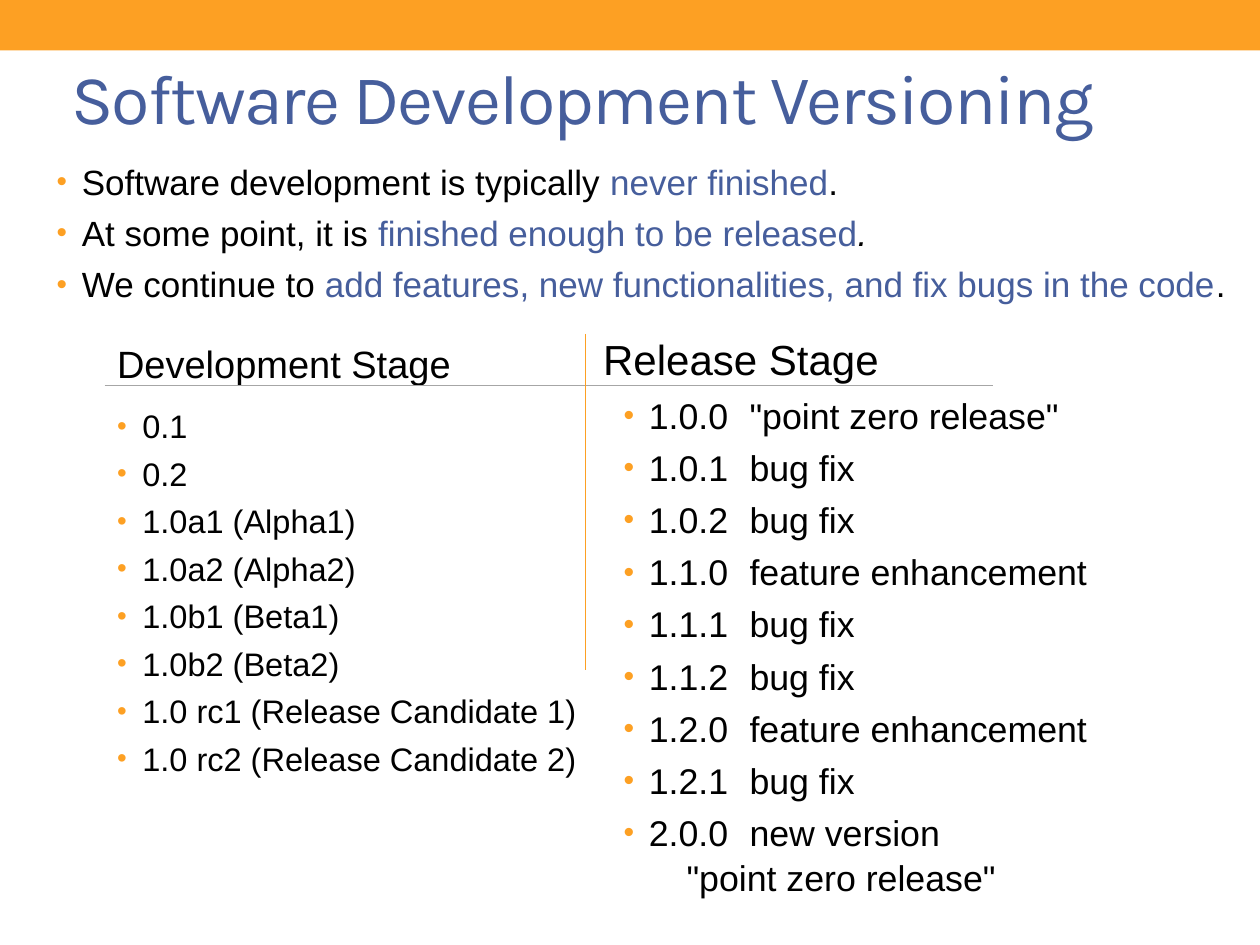
"""Build a slide on version numbers in software development."""
from lxml import etree
from pptx import Presentation
from pptx.dml.color import RGBColor
from pptx.enum.shapes import MSO_CONNECTOR, MSO_SHAPE
from pptx.enum.text import MSO_ANCHOR
from pptx.oxml.ns import qn
from pptx.util import Cm, Pt

STRAIGHT = MSO_CONNECTOR.STRAIGHT
RECTANGLE = MSO_SHAPE.RECTANGLE
TOP, MIDDLE = MSO_ANCHOR.TOP, MSO_ANCHOR.MIDDLE
ORANGE = RGBColor(0xFD, 0xA0, 0x23)
BLUE = RGBColor(0x46, 0x5E, 0x9C)
BLACK = RGBColor(0, 0, 0)
GREY = RGBColor(0xA6, 0xA6, 0xA6)
HANGING = Cm(0.51)

TITLE = "Software Development Versioning"
POINTS = [
    ("Software development is typically ", "never finished", ".", False),
    ("At some point, it is ", "finished enough to be released", ".", True),
    ("We continue to ",
     "add features, new functionalities, and fix bugs in the code", ".", False),
]
DEVELOPMENT = [
    "0.1", "0.2", "1.0a1 (Alpha1)", "1.0a2 (Alpha2)", "1.0b1 (Beta1)",
    "1.0b2 (Beta2)", "1.0 rc1 (Release Candidate 1)",
    "1.0 rc2 (Release Candidate 2)",
]
RELEASES = [
    ("1.0.0", ['"point zero release"']),
    ("1.0.1", ["bug fix"]),
    ("1.0.2", ["bug fix"]),
    ("1.1.0", ["feature enhancement"]),
    ("1.1.1", ["bug fix"]),
    ("1.1.2", ["bug fix"]),
    ("1.2.0", ["feature enhancement"]),
    ("1.2.1", ["bug fix"]),
    ("2.0.0", ["new version", '"point zero release"']),
]
RULES = [
    ((2.11, 7.77), (20.02, 7.77), GREY, 0.25),
    ((11.81, 6.73), (11.81, 13.51), ORANGE, 0.75),
]


def add_bullet(para):
    properties = para._p.get_or_add_pPr()
    properties.set("marL", str(HANGING))
    properties.set("indent", str(-HANGING))
    color = etree.SubElement(properties, qn("a:buClr"))
    etree.SubElement(color, qn("a:srgbClr")).set("val", str(ORANGE))
    etree.SubElement(properties, qn("a:buSzPct")).set("val", "85000")
    etree.SubElement(properties, qn("a:buFont")).set("typeface", "Arial")
    etree.SubElement(properties, qn("a:buChar")).set("char", "•")


def add_span(para, text, size, color=BLACK, name="Arial", italic=False):
    span = para.add_run()
    span.text = text
    span.font.size = Pt(size)
    span.font.name = name
    span.font.color.rgb = color
    span.font.italic = italic
    return span


def add_box(page, left, top, width, height, anchor=TOP):
    box = page.shapes.add_textbox(Cm(left), Cm(top), Cm(width), Cm(height))
    box.text_frame.word_wrap = True
    box.text_frame.vertical_anchor = anchor
    return box.text_frame


def add_paragraphs(frame, count, size, bullet=True):
    for index in range(count):
        para = frame.add_paragraph() if index else frame.paragraphs[0]
        para.space_before = Pt(round(size * 0.2, 1))
        if bullet:
            para.line_spacing = 1.05
            add_bullet(para)
    return frame.paragraphs


def add_heading(page, text, size, left, top, width, height):
    frame = add_box(page, left, top, width, height)
    add_span(add_paragraphs(frame, 1, size, bullet=False)[0], text, size)


def add_rule(page, start, end, color, weight):
    rule = page.shapes.add_connector(STRAIGHT, *map(Cm, start + end))
    rule.line.color.rgb = color
    rule.line.width = Pt(weight)
    etree.SubElement(rule._element.spPr, qn("a:effectLst"))


def main():
    deck = Presentation()
    deck.slide_width, deck.slide_height = Cm(25.4), Cm(19.05)
    page = deck.slides.add_slide(deck.slide_layouts[6])

    band = page.shapes.add_shape(RECTANGLE, 0, 0, deck.slide_width, Cm(1.02))
    band.shadow.inherit = False
    band.fill.solid()
    band.fill.fore_color.rgb = ORANGE
    band.line.fill.background()

    frame = add_box(page, 0.89, 3.07, 24.13, 10.26)
    for para, (lead, phrase, stop, italic) in zip(
            add_paragraphs(frame, len(POINTS), 20), POINTS):
        add_span(para, lead, 20)
        add_span(para, phrase, 20, BLUE)
        add_span(para, stop, 20, italic=italic)

    frame = add_box(page, 1.19, 0.91, 22.86, 2.06, MIDDLE)
    title = add_span(frame.paragraphs[0], TITLE, 40, BLUE, "Karla")
    title.font._element.set("spc", "-100")

    add_heading(page, "Release Stage", 24, 11.91, 6.6, 10.82, 1.19)
    add_heading(page, "Development Stage", 21.7, 2.11, 6.73, 10.31, 0.99)

    frame = add_box(page, 2.11, 8.03, 10.24, 7.72)
    for para, version in zip(
            add_paragraphs(frame, len(DEVELOPMENT), 18.6), DEVELOPMENT):
        add_span(para, version, 18.6)

    frame = add_box(page, 12.32, 7.77, 10.49, 9.55)
    for para, (version, notes) in zip(
            add_paragraphs(frame, len(RELEASES), 20.4), RELEASES):
        add_span(para, f"{version}\t{notes[0]}", 20.4)
        for note in notes[1:]:
            para.add_line_break()
            add_span(para, f"\t{note}", 20.4)

    for rule in RULES:
        add_rule(page, *rule)

    deck.save("out.pptx")


if __name__ == "__main__":
    main()
